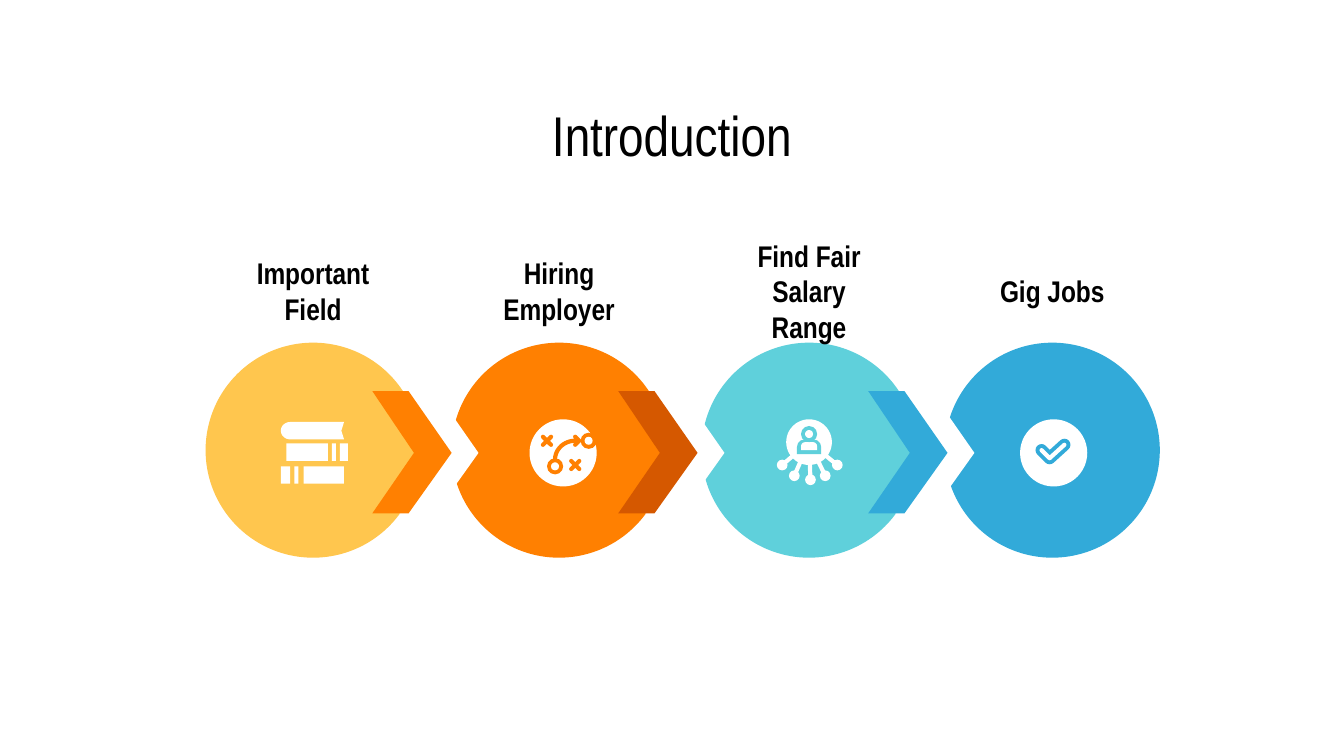
from math import cos, radians, sin

from lxml import etree
from pptx import Presentation
from pptx.dml.color import RGBColor
from pptx.enum import shapes as sh, text as tx
from pptx.oxml.ns import qn
from pptx.util import Inches, Pt

FONT = "Arial Narrow"
WHITE, BLACK = "FFFFFF", "000000"
KIND = sh.MSO_SHAPE

# label, left, disc colour, arrow colour
STEPS = [
    ("Important Field", 1.53, "FFC64E", "FF8001"),
    ("Hiring Employer", 3.36, "FF8001", "D55800"),
    ("Find Fair Salary Range", 5.22, "5FD0DB", "32AAD9"),
    ("Gig Jobs", 7.03, "32AAD9", None),
]
SIZE, TOP, LABEL_TOP = 1.6, 2.55, 1.78
CHEVRON = [(0, 0), (0.31, 0.46), (0, 0.91), (0.27, 0.91), (0.59, 0.46), (0.27, 0)]

# left, top, width of the book parts
THICK = 0.13
BOOKS = [
    (2.13, 3.3, 0.31), (2.47, 3.3, 0.03), (2.53, 3.3, 0.06),
    (2.09, 3.47, 0.07), (2.19, 3.47, 0.03), (2.26, 3.47, 0.3),
]
CROSSES = [(4.07, 3.28), (4.28, 3.46)]
RINGS = [(4.13, 3.47), (4.38, 3.28)]
NODES = [(5.82, 3.46), (5.91, 3.54), (6.03, 3.57), (6.14, 3.54), (6.23, 3.46)]
TICK = [(7.75, 3.35), (7.81, 3.41), (7.92, 3.31)]

prs = Presentation()
prs.slide_width = Inches(10)
prs.slide_height = prs.slide_width * 9 // 16
slide = prs.slides.add_slide(prs.slide_layouts[5])


def rgb(code):
    return RGBColor.from_string(code)


def paint(shape, color):
    shape.shadow.inherit = False
    shape.fill.solid()
    shape.fill.fore_color.rgb = rgb(color)
    shape.line.fill.background()
    return shape


def place(kind, x, y, w, h, color):
    box = [Inches(v) for v in (x, y, w, h)]
    return paint(slide.shapes.add_shape(kind, *box), color)


def disc(x, y, r, color):
    return place(KIND.OVAL, x - r, y - r, 2 * r, 2 * r, color)


def ring(x, y, color):
    disc(x, y, 0.06, color)
    disc(x, y, 0.03, WHITE)


def outline(points, close):
    pts = [(Inches(x), Inches(y)) for x, y in points]
    pen = slide.shapes.build_freeform(*pts[0])
    pen.add_line_segments(pts[1:], close=close)
    return pen.convert_to_shape()


def stroke(points, color, width=2.25):
    """Open line with round ends and joins."""
    shape = outline(points, False)
    shape.shadow.inherit = False
    shape.fill.background()
    shape.line.color.rgb = rgb(color)
    shape.line.width = Pt(width)
    ln = shape.line._get_or_add_ln()
    ln.set("cap", "rnd")
    etree.SubElement(ln, qn("a:round"))


def straight(x1, y1, x2, y2, color, width=2.25):
    ends = [Inches(v) for v in (x1, y1, x2, y2)]
    line = slide.shapes.add_connector(sh.MSO_CONNECTOR.STRAIGHT, *ends)
    line.line.color.rgb = rgb(color)
    line.line.width = Pt(width)
    line.line._get_or_add_ln().set("cap", "rnd")
    etree.SubElement(line._element.spPr, qn("a:effectLst"))


def arc(x, y, rx, ry, start, end):
    """Points along an ellipse, with angles in degrees."""
    turns = [radians(start + (end - start) * i / 16) for i in range(17)]
    return [(x + rx * cos(t), y + ry * sin(t)) for t in turns]


def write(shape, words, size, inset, bold=None):
    frame = shape.text_frame
    frame.word_wrap = True
    frame.auto_size = tx.MSO_AUTO_SIZE.NONE
    frame.vertical_anchor = tx.MSO_ANCHOR.MIDDLE
    frame.margin_left = frame.margin_right = Inches(inset)
    frame.margin_top = frame.margin_bottom = Inches(inset)
    frame.text = words
    para = frame.paragraphs[0]
    para.alignment = tx.PP_ALIGN.CENTER
    font = para.font
    font.name, font.size, font.bold = FONT, Pt(size), bold
    font.color.rgb = rgb(BLACK)


def draw_books():
    half, top = THICK / 2, 3.14
    spine = arc(2.16, top + half, 0.07, half, 90, 270)
    notch = [(2.56, top), (2.54, top + half), (2.56, top + THICK)]
    paint(outline(spine + notch, True), WHITE)
    for x, y, w in BOOKS:
        place(KIND.RECTANGLE, x, y, w, THICK, WHITE)


def draw_plan(color):
    disc(4.19, 3.37, 0.25, WHITE)
    for x, y in CROSSES:
        for d in (0.03, -0.03):
            straight(x - 0.03, y - d, x + 0.03, y + d, color)
    stroke(arc(4.28, 3.42, 0.15, 0.14, 180, 270), color)
    stroke([(4.28, 3.25), (4.31, 3.28), (4.28, 3.31)], color)
    for x, y in RINGS:
        ring(x, y, color)


def draw_network(color):
    for x, y in NODES:
        straight(6.02, 3.29, x, y, WHITE)
        disc(x, y, 0.04, WHITE)
    disc(6.02, 3.29, 0.17, WHITE)
    for x, y, w, h, tone in ((5.93, 3.27, 0.18, 0.11, color),
                             (5.96, 3.29, 0.12, 0.06, WHITE)):
        body = place(KIND.ROUND_2_SAME_RECTANGLE, x, y, w, h, tone)
        body.adjustments[0] = 0.5
    ring(6.02, 3.23, color)


def draw_check(color):
    disc(7.84, 3.37, 0.25, WHITE)
    stroke(TICK, color, 6.5)
    stroke(TICK, WHITE, 2.25)


title = slide.shapes.title
title.left, title.top = Inches(0.5), Inches(0.73)
title.width, title.height = Inches(9), Inches(0.53)
write(title, "Introduction", 30, 0.1)

# Right to left, so that each arrow overlaps the next disc
for label, left, color, arrow in reversed(STEPS):
    ball = place(KIND.ROUNDED_RECTANGLE, left, TOP, SIZE, SIZE, color)
    ball.adjustments[0] = 0.5
    if arrow:
        for shift, tone in ((1.44, WHITE), (1.24, arrow)):
            points = [(left + shift + x, 2.91 + y) for x, y in CHEVRON]
            paint(outline(points, True), tone)
    area = [Inches(v) for v in (left, LABEL_TOP, SIZE, 0.77)]
    write(slide.shapes.add_textbox(*area), label, 16, 0.25, True)

draw_books()
draw_plan(STEPS[1][2])
draw_network(STEPS[2][2])
draw_check(STEPS[3][2])

prs.save("out.pptx")
